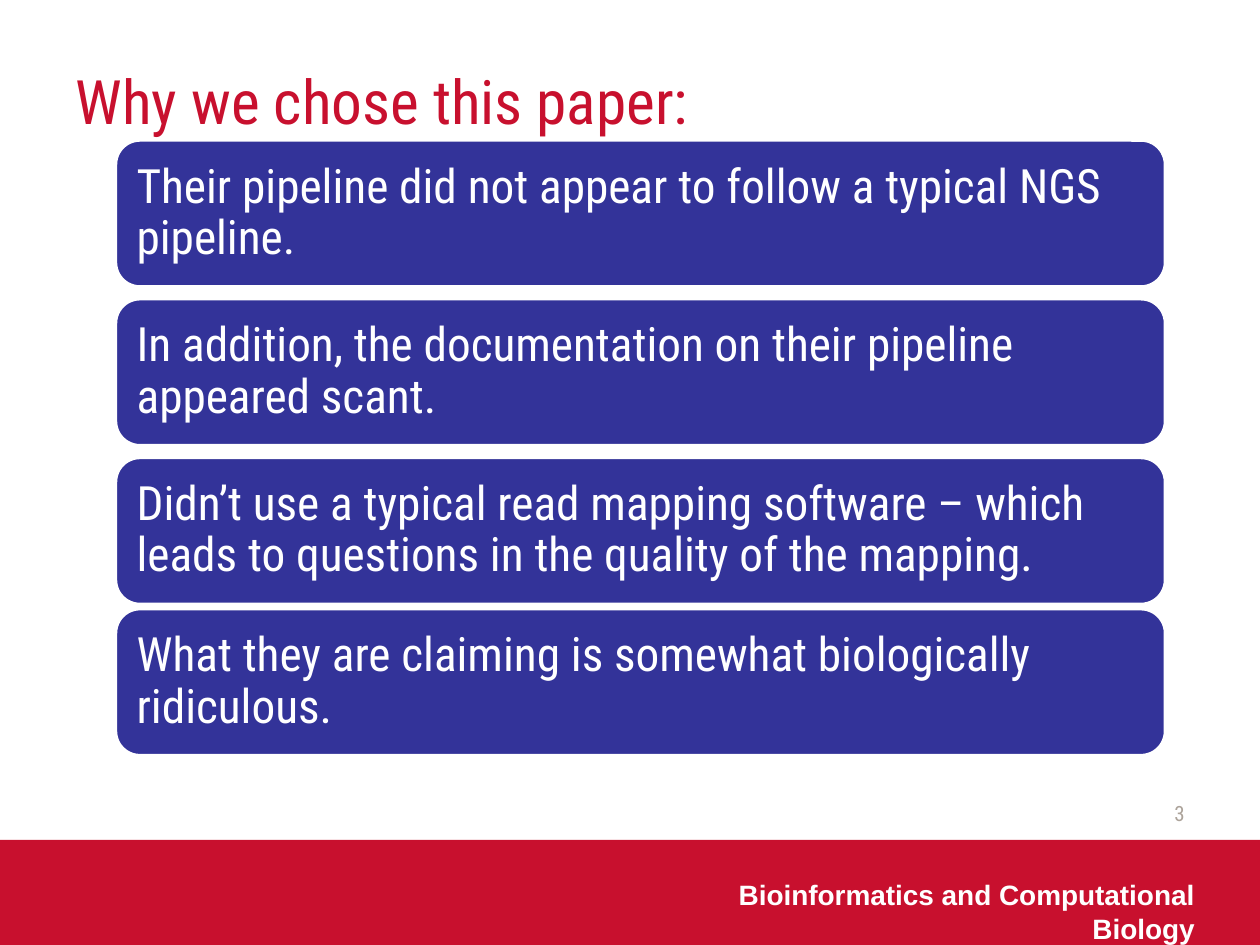
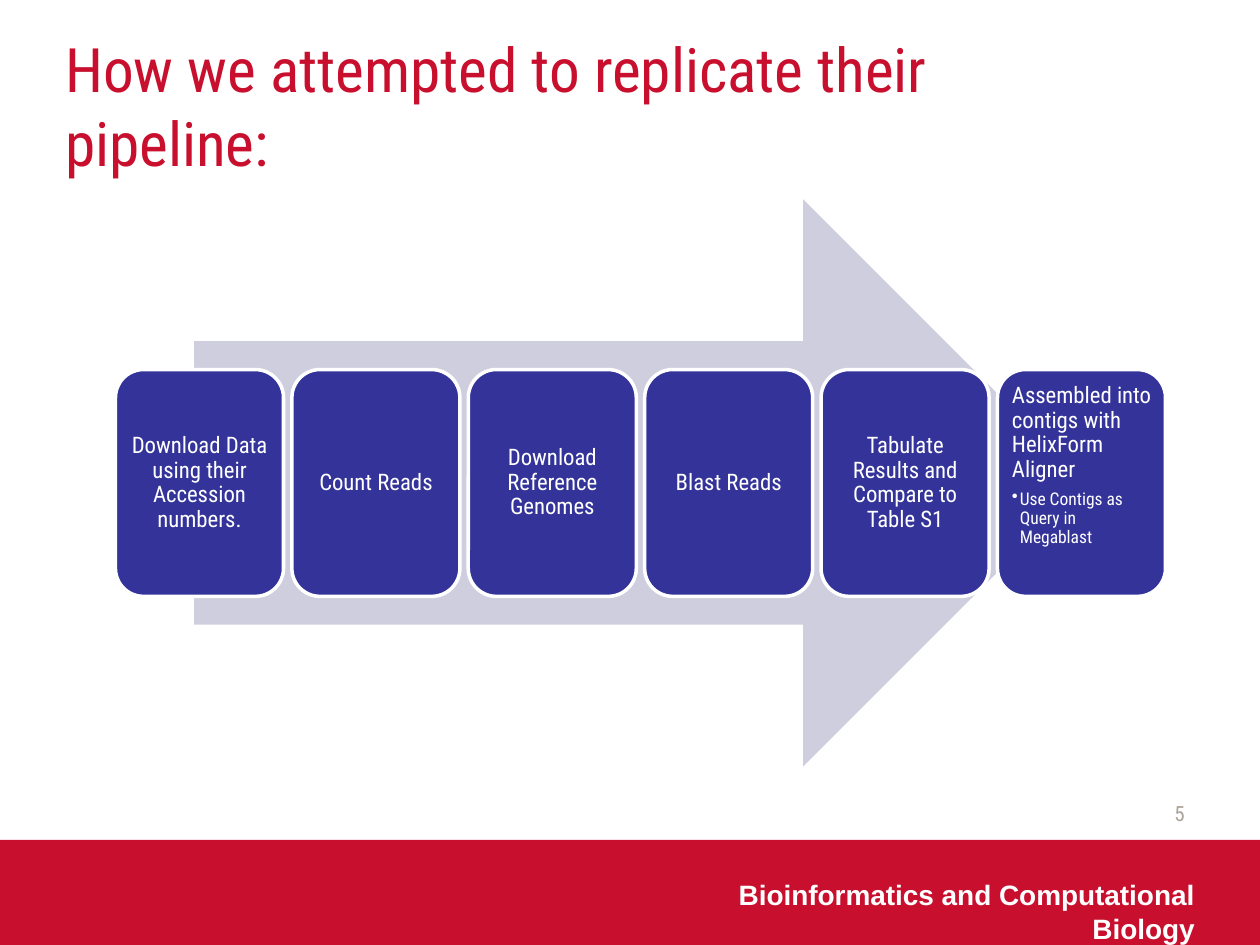
from pptx import Presentation
from pptx.dml.color import RGBColor
from pptx.enum.shapes import MSO_SHAPE
from pptx.enum.text import MSO_ANCHOR, MSO_AUTO_SIZE, PP_ALIGN
from pptx.oxml.ns import qn
from pptx.util import Pt
from lxml import etree

RECTANGLE, ROUNDED = MSO_SHAPE.RECTANGLE, MSO_SHAPE.ROUNDED_RECTANGLE
RIGHT_ARROW = MSO_SHAPE.RIGHT_ARROW
LEFT, CENTER, RIGHT = PP_ALIGN.LEFT, PP_ALIGN.CENTER, PP_ALIGN.RIGHT
TOP, MIDDLE = MSO_ANCHOR.TOP, MSO_ANCHOR.MIDDLE

RED, BLUE, LAVENDER = "C8102E", "333399", "CECEDE"
GREY, WHITE = "ACA39A", "FFFFFF"
BODY_FONT, FOOTER_FONT = "Roboto Condensed", "Arial"


def color(hex_string):
    return RGBColor.from_string(hex_string)


class Deck:
    """Holds the shared style and the slide being built."""

    def __init__(self):
        self.presentation = Presentation()
        self.presentation.slide_width = Pt(720)
        self.presentation.slide_height = Pt(540)
        self.layout = self.presentation.slide_layouts[1]
        self.slide = None

    def add_slide(self, title, title_box, number, footer_left):
        first = self.slide is None
        self.slide = self.presentation.slides.add_slide(self.layout)
        if first:
            self.layout_band()
        heading, footer = self.slide.placeholders
        self.placeholder(heading, title_box, MIDDLE)
        self.add_text(heading.text_frame.paragraphs[0], title, 35, RED)
        # Footer text fills the body placeholder, without its bullet
        self.placeholder(footer, (footer_left, 498, 690 - footer_left, 30), TOP)
        paragraph = footer.text_frame.paragraphs[0]
        self.indent(paragraph, 0, 0, None)
        self.add_text(paragraph, "Bioinformatics and Computational Biology", 16,
                      WHITE, RIGHT, FOOTER_FONT, bold=True)
        self.page_number(number)

    def layout_band(self):
        # The red band lives in the layout, behind every slide
        band = self.shape(RECTANGLE, (0, 480, 720, 60), RED)
        self.layout.shapes.element.insert(2, band.element)

    def placeholder(self, shape, box, anchor):
        shape.left, shape.top, shape.width, shape.height = map(Pt, box)
        frame = shape.text_frame
        frame.auto_size = MSO_AUTO_SIZE.NONE
        frame.word_wrap = True
        frame.vertical_anchor = anchor

    def page_number(self, number):
        box = self.slide.shapes.add_textbox(Pt(516), Pt(450), Pt(168), Pt(29))
        box.text_frame.word_wrap = True
        box.text_frame.vertical_anchor = MIDDLE
        self.add_text(box.text_frame.paragraphs[0], number, 12, GREY, RIGHT)

    def shape(self, kind, box, fill, line=None):
        shape = self.slide.shapes.add_shape(kind, *map(Pt, box))
        shape.shadow.inherit = False
        shape.fill.solid()
        shape.fill.fore_color.rgb = color(fill)
        if line:
            shape.line.color.rgb = color(line)
            shape.line.width = Pt(2)
        else:
            shape.line.fill.background()
        return shape

    def card(self, box, text, size, inset, alignment=LEFT, anchor=MIDDLE):
        card = self.shape(ROUNDED, box, BLUE, WHITE)
        frame = card.text_frame
        frame.word_wrap = True
        frame.vertical_anchor = anchor
        frame.margin_left = frame.margin_right = Pt(inset)
        frame.margin_top = frame.margin_bottom = Pt(inset)
        self.card_line(frame.paragraphs[0], text, size, 0.35, alignment)
        return card

    def card_line(self, paragraph, text, size, after, alignment=LEFT):
        paragraph.line_spacing = 0.9
        paragraph.space_after = Pt(round(size * after, 1))
        self.add_text(paragraph, text, size, WHITE, alignment)

    def indent(self, paragraph, left, first, bullet):
        properties = paragraph._p.get_or_add_pPr()
        properties.set("marL", str(Pt(left)))
        properties.set("indent", str(Pt(first)))
        if bullet:
            etree.SubElement(properties, qn("a:buChar"), char=bullet)
        else:
            etree.SubElement(properties, qn("a:buNone"))

    def add_text(self, paragraph, text, size, text_color, alignment=LEFT,
                 font=BODY_FONT, bold=False):
        paragraph.alignment = alignment
        run = paragraph.add_run()
        run.text = text
        run.font.name = font
        run.font.size = Pt(size)
        run.font.bold = bold
        run.font.color.rgb = color(text_color)


deck = Deck()

# Slide 1: four stacked reasons
deck.add_slide("Why we chose this paper:", (36, 12, 612, 90), "3", 390)
reasons = [
    (80, "Their pipeline did not appear to follow a typical NGS pipeline."),
    (170.7, "In addition, the documentation on their pipeline appeared scant."),
    (261.4, "Didn’t use a typical read mapping software – which leads to "
            "questions in the quality of the mapping."),
    (347.8, "What they are claiming is somewhat biologically ridiculous."),
]
for top, reason in reasons:
    deck.card((66, top, 600, 84), reason, 27, 8)

# Slide 2: pipeline steps along an arrow
deck.add_slide("How we attempted to replicate their pipeline:",
               (30, 18, 612, 84), "5", 372)
deck.shape(RIGHT_ARROW, (111, 114, 510, 324), LAVENDER)
steps = [
    "Download Data using their Accession numbers.",
    "Count Reads",
    "Download Reference Genomes",
    "Blast Reads",
    "Tabulate Results and Compare to Table S1",
]
step_left, step_pitch = 66, 100.8


def step_box(index):
    return step_left + index * step_pitch, 211.2, 96, 129.6


for index, step in enumerate(steps):
    deck.card(step_box(index), step, 13, 3.6, CENTER)

# The last step carries a bulleted detail
last_step = deck.card(step_box(len(steps)),
                      "Assembled into contigs with HelixForm Aligner",
                      13, 3.6, LEFT, TOP)
detail = last_step.text_frame.add_paragraph()
detail.level = 1
deck.card_line(detail, "Use Contigs as Query in Megablast", 10, 0.15)
deck.indent(detail, 4.5, -4.5, "•")

deck.presentation.save("out.pptx")
